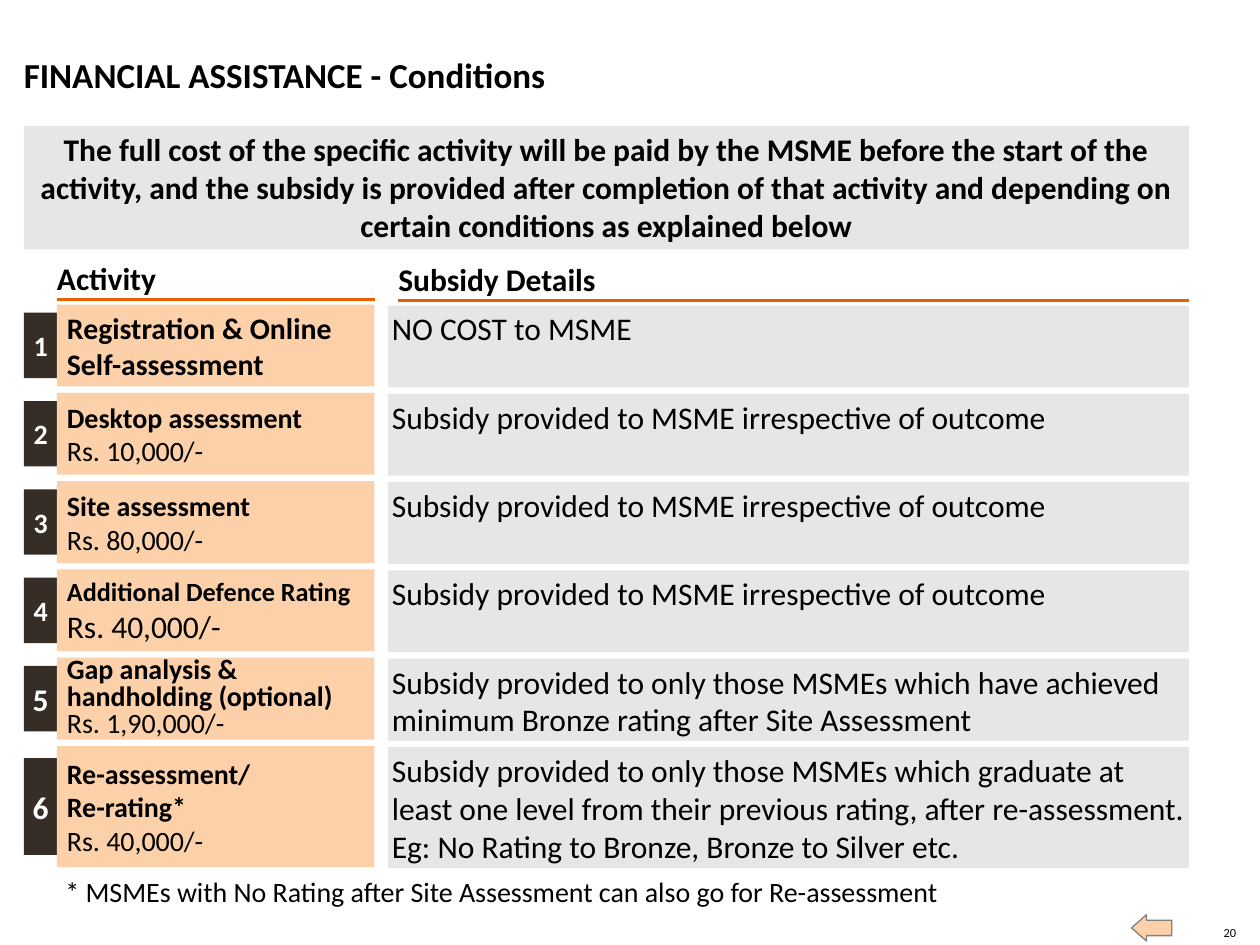
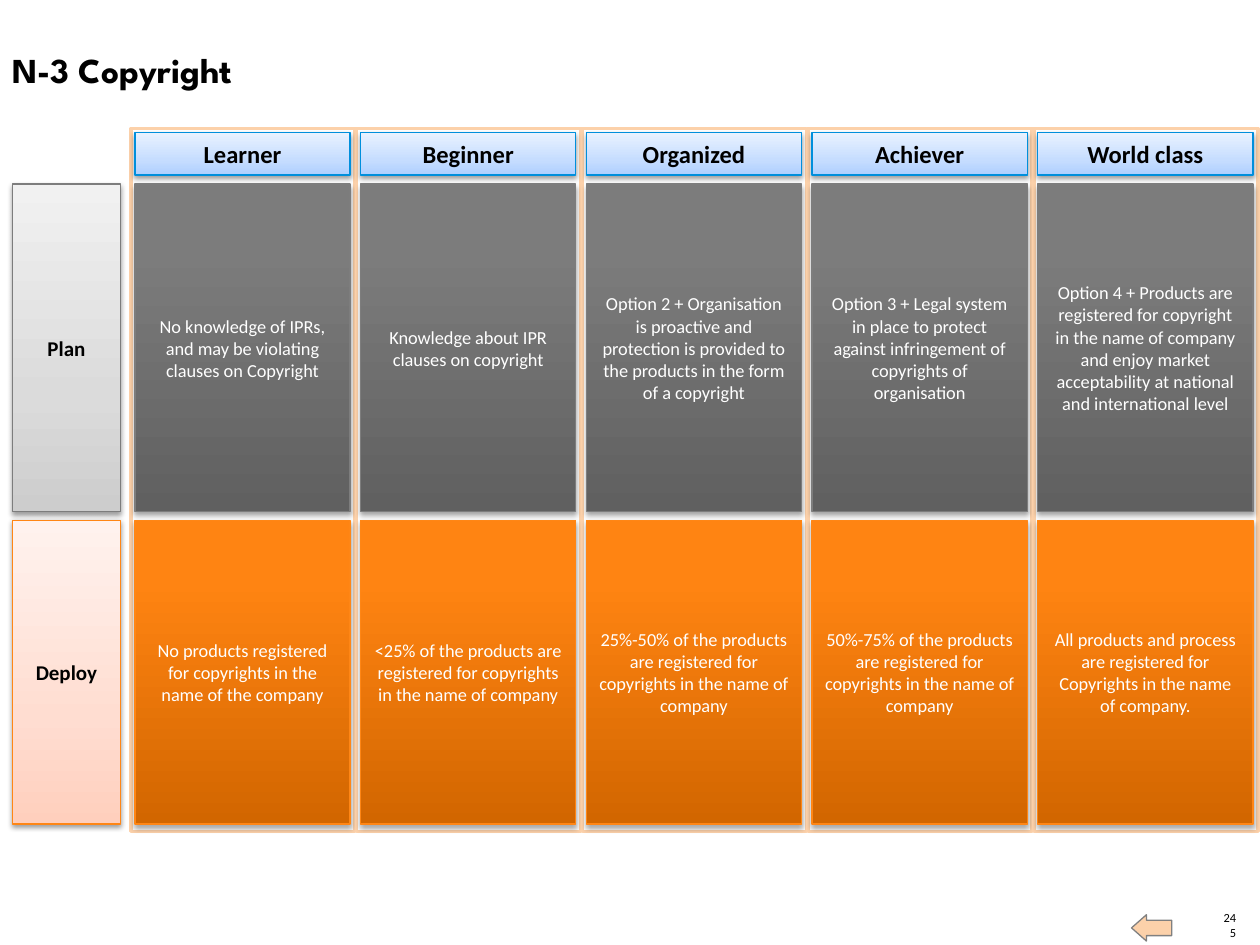
from pptx import Presentation
from pptx import util as u
from pptx.dml.color import RGBColor
from pptx.enum import shapes, text as t
from pptx.oxml import parse_xml
from pptx.oxml.ns import nsdecls, qn

BLACK, WHITE = "000000", "FFFFFF"
PEACH, GREY, DARK, ORANGE = "FCD1AA", "E6E6E6", "362D26", "EA5F00"
LEFT, CENTER, RIGHT = t.PP_ALIGN.LEFT, t.PP_ALIGN.CENTER, t.PP_ALIGN.RIGHT
TOP, MIDDLE, BOTTOM = t.MSO_ANCHOR.TOP, t.MSO_ANCHOR.MIDDLE, t.MSO_ANCHOR.BOTTOM
CELL_INSETS = (0.25, 0.13, 0.25, 0.13)

SOFT_SHADOW, CELL_SHADOW = (38, 1.6), (35, 1.8)
STYLES = {
    "header": ([(0, "AECFFF"), (35, "C6DDFF"), (100, "E9F2FF")], "008FDC", SOFT_SHADOW),
    "plan label": ([(0, "CDCDCD"), (35, "DBDBDB"), (100, "F1F1F1")], "7D7D7D", SOFT_SHADOW),
    "deploy label": ([(0, "FFCFBD"), (35, "FFDDD1"), (100, "FFF2EE")], "FF8615", SOFT_SHADOW),
    "plan": ([(0, "606060"), (80, "7C7C7C"), (100, "7D7D7D")], "7D7D7D", CELL_SHADOW),
    "deploy": ([(0, "D26600"), (80, "FF8412"), (100, "FF8514")], "FF8615", CELL_SHADOW),
}

IRRESPECTIVE = "Subsidy provided to MSME irrespective of outcome"
ACTIVITIES = [
    ("Registration & Online Self-assessment", "", "NO COST to MSME", {"size": 17}),
    ("Desktop assessment", "Rs. 10,000/-", IRRESPECTIVE, {}),
    ("Site assessment", "Rs. 80,000/-", IRRESPECTIVE, {}),
    ("Additional Defence Rating", "Rs. 40,000/-", IRRESPECTIVE,
     {"size": 15, "price_size": 18}),
    ("Gap analysis & handholding (optional)", "Rs. 1,90,000/-",
     "Subsidy provided to only those MSMEs which have achieved "
     "minimum Bronze rating after Site Assessment",
     {"spacing": 0.8, "badge_size": 18}),
    ("Re-assessment/\nRe-rating*", "Rs. 40,000/-",
     "Subsidy provided to only those MSMEs which graduate at least one level from their "
     "previous rating, after re-assessment. Eg: No Rating to Bronze, Bronze to Silver etc.",
     {"height": 2.44, "badge_size": 18}),
]

LEVELS = [
    ("Learner",
     "No knowledge of IPRs, and may be violating clauses on Copyright",
     "No products registered for copyrights in the name of the company"),
    ("Beginner",
     "Knowledge about IPR clauses on copyright",
     "<25% of the products are registered for copyrights in the name of company"),
    ("Organized",
     "Option 2 + Organisation is proactive and protection is provided to the products "
     "in the form of a copyright",
     "25%-50% of the products are registered for copyrights in the name of company"),
    ("Achiever",
     "Option 3 + Legal system in place to protect against infringement of copyrights "
     "of organisation",
     "50%-75% of the products are registered for copyrights in the name of company"),
    ("World class",
     "Option 4 + Products are registered for copyright in the name of company and enjoy "
     "market acceptability at national and international level",
     "All products and process are registered for Copyrights in the name of company."),
]


def color(value):
    return RGBColor.from_string(value)


def cm(*lengths):
    return [u.Cm(length) for length in lengths]


def write(box, words, size=18, bold=False, ink=BLACK, font="Calibri", align=LEFT,
          anchor=TOP, insets=(0, 0, 0, 0), spacing=None):
    frame = box.text_frame
    frame.word_wrap = True
    frame.auto_size = t.MSO_AUTO_SIZE.NONE
    frame.vertical_anchor = anchor
    (frame.margin_left, frame.margin_top,
     frame.margin_right, frame.margin_bottom) = cm(*insets)
    for line in words.split("\n"):
        para = frame.add_paragraph() if frame.text else frame.paragraphs[0]
        para.alignment = align
        para.line_spacing = spacing
        span = para.add_run()
        span.text = line
        span.font.size = u.Pt(size)
        span.font.bold = bold
        span.font.name = font
        span.font.color.rgb = color(ink)


def add_text(page, area, words, **style):
    write(page.shapes.add_textbox(*cm(*area)), words, **style)


def add_block(page, area, fill, line=None, width=0.75, kind=shapes.MSO_SHAPE.RECTANGLE):
    block = page.shapes.add_shape(kind, *cm(*area))
    block.shadow.inherit = False
    block.fill.solid()
    block.fill.fore_color.rgb = color(fill)
    if line:
        block.line.color.rgb = color(line)
        block.line.width = u.Pt(width)
    else:
        block.line.fill.background()
    return block


def add_gradient_block(page, area, style):
    stops, line, (alpha, distance) = STYLES[style]
    block = add_block(page, area, WHITE, line)
    properties = block._element.spPr
    steps = "".join(f'<a:gs pos="{place * 1000}"><a:srgbClr val="{shade}"/></a:gs>'
                    for place, shade in stops)
    properties.replace(properties.find(qn("a:solidFill")), parse_xml(
        f'<a:gradFill {nsdecls("a")} rotWithShape="1"><a:gsLst>{steps}</a:gsLst>'
        '<a:lin ang="16200000" scaled="0"/></a:gradFill>'))
    properties.find(qn("a:effectLst")).append(parse_xml(
        f'<a:outerShdw {nsdecls("a")} blurRad="{u.Pt(3.1)}" dist="{u.Pt(distance)}" '
        'dir="5400000" rotWithShape="0"><a:srgbClr val="000000">'
        f'<a:alpha val="{alpha * 1000}"/></a:srgbClr></a:outerShdw>'))
    return block


def add_rule(page, left, top, width):
    rule = page.shapes.add_connector(shapes.MSO_CONNECTOR.STRAIGHT,
                                     *cm(left, top, left + width, top))
    rule.line.color.rgb = color(ORANGE)
    rule.line.width = u.Pt(1.5)
    rule._element.spPr.append(parse_xml(f'<a:effectLst {nsdecls("a")}/>'))


def add_page(deck, title, left, top, number, font="Calibri"):
    page = deck.slides.add_slide(deck.slide_layouts[5])
    heading = page.shapes.title
    heading.left, heading.top, heading.width, heading.height = cm(left, top, 19.43, 0.86)
    write(heading, title, size=20, bold=True, font=font, anchor=BOTTOM)
    add_text(page, (24.61, 18.64, 0.31, 0.31), number, size=7.1, align=RIGHT, anchor=BOTTOM)
    arrow = add_block(page, (22.81, 18.44, 0.81, 0.53), PEACH, "808080",
                      kind=shapes.MSO_SHAPE.RIGHT_ARROW)
    arrow.rotation = 180
    arrow.adjustments[0], arrow.adjustments[1] = 0.588, 0.565
    return page


def add_column_heading(page, left, top, width, words):
    add_text(page, (left, top, width, 0.82), words, bold=True, anchor=BOTTOM,
             insets=(0, 0, 0, 0.05))
    add_rule(page, left, top + 0.82, width)


def add_activity(page, left, top, number, name, price, details, size=16, price_size=16,
                 badge_size=16, spacing=None, height=1.65):
    badge = add_block(page, (left, top + height * 0.1, 0.68, height * 0.8), DARK)
    write(badge, str(number), size=badge_size, bold=True, ink=WHITE, align=CENTER,
          anchor=MIDDLE)
    activity = add_block(page, (left + 0.67, top, 6.4, height), PEACH)
    layout = {"anchor": MIDDLE, "insets": (0.2,) * 4, "spacing": spacing}
    write(activity, name, size=size, bold=True, **layout)
    if price:
        write(activity, price, size=price_size, **layout)
    subsidy = add_block(page, (left + 7.34, top + 0.02, 16.15, height), GREY)
    write(subsidy, details, insets=(0.08,) * 4)


def build_conditions(deck):
    left, first_row, pitch = 0.48, 6.14, 1.78
    page = add_page(deck, "FINANCIAL ASSISTANCE - Conditions", left, 1.07, "20")
    banner = add_block(page, (left, 2.54, 23.49, 2.49), GREY)
    write(banner, "The full cost of the specific activity will be paid by the MSME before "
          "the start of the activity, and the subsidy is provided after completion of that "
          "activity and depending on certain conditions as explained below",
          bold=True, align=CENTER, insets=(0.08,) * 4)
    add_column_heading(page, 1.15, 5.22, 6.4, "Activity")
    add_column_heading(page, 8.03, 5.24, 15.94, "Subsidy Details")
    for row, (name, price, details, style) in enumerate(ACTIVITIES):
        add_activity(page, left, first_row + row * pitch, row + 1, name, price, details,
                     **style)
    add_text(page, (1.07, 17.5, 22.9, 0.94),
             "* MSMEs with No Rating after Site Assessment can also go for Re-assessment",
             size=16, insets=CELL_INSETS)


def add_cell(page, area, words, style, size=10.5, bold=False, ink=WHITE):
    write(add_gradient_block(page, area, style), words, size=size, bold=bold, ink=ink,
          align=CENTER, anchor=MIDDLE, insets=CELL_INSETS)


def add_level(page, left, top, rows, name, plan, deploy):
    add_block(page, (left, top, 4.52, 14.17), WHITE, PEACH, 2)
    add_cell(page, (left + 0.08, top + 0.08, 4.34, 0.86), name, "header", 14, True, BLACK)
    for (style, row_top, height), words in zip(rows, (plan, deploy)):
        add_cell(page, (left + 0.08, row_top, 4.34, height), words, style)


def build_copyright(deck):
    page = add_page(deck, "N-3 Copyright", 0.25, 0.97, "245", font="League Spartan")
    rows = [("plan", 3.71, 6.6), ("deploy", 10.49, 6.12)]
    for style, top, height in rows:
        add_cell(page, (0.25, top, 2.18, height), style.capitalize(), f"{style} label",
                 12, True, BLACK)
    for column, level in enumerate(LEVELS):
        add_level(page, 2.64 + column * 4.55, 2.59, rows, *level)


def main():
    deck = Presentation()
    deck.slide_width, deck.slide_height = cm(25.4, 19.05)
    build_conditions(deck)
    build_copyright(deck)
    deck.save("out.pptx")


if __name__ == "__main__":
    main()
